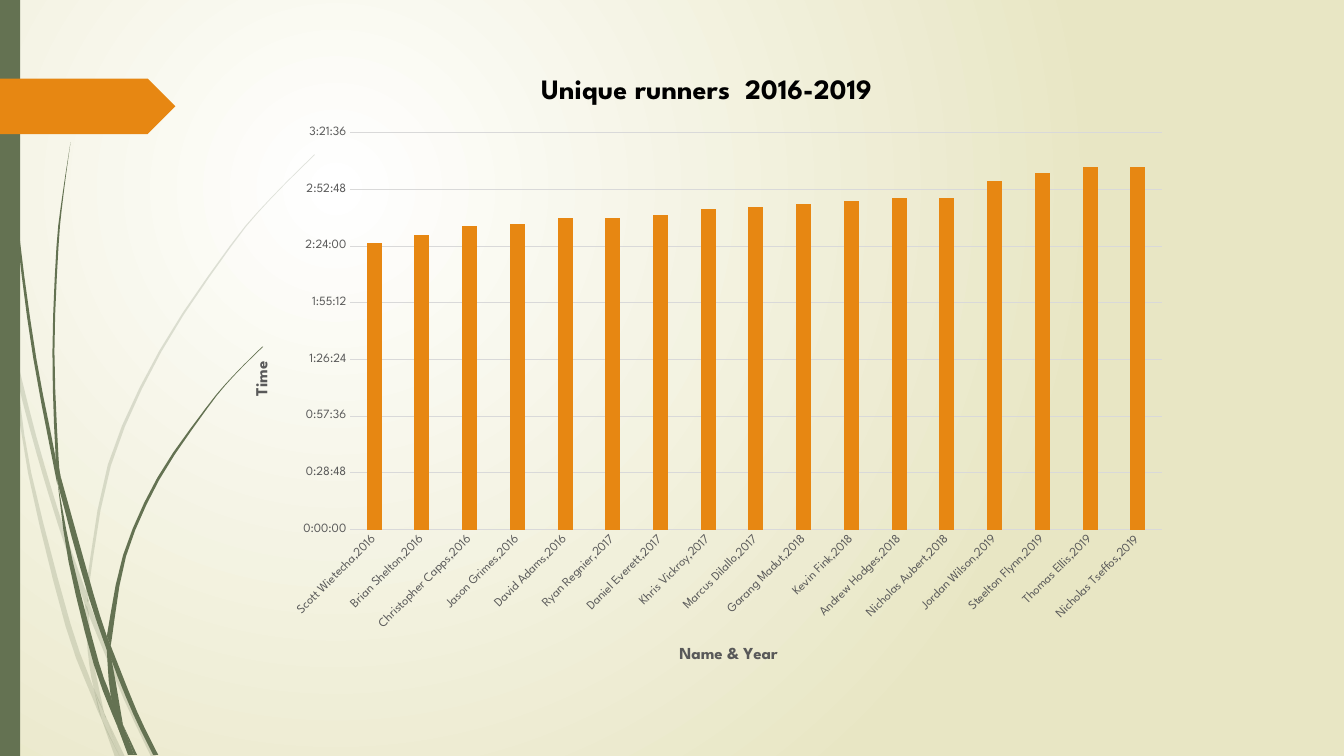
from lxml import etree
from pptx import Presentation
from pptx import util as u
from pptx.chart.data import CategoryChartData
from pptx.dml.color import RGBColor
from pptx.enum import chart as ch, shapes
from pptx.oxml import parse_xml
from pptx.oxml.ns import nsdecls, qn

GREEN = RGBColor(0x64, 0x72, 0x52)
ORANGE = RGBColor(0xE7, 0x87, 0x12)
WHITE = RGBColor(0xFF, 0xFF, 0xFF)
CREAM = RGBColor(0xE8, 0xE6, 0xC4)
BLACK = RGBColor(0, 0, 0)
GREY = RGBColor(0x59, 0x59, 0x59)
GRID = RGBColor(0xD9, 0xD9, 0xD9)
FONT = "League Spartan"
STEPS = 3


def smooth(points):
    """Sample a Catmull-Rom curve through the points, in EMU."""
    ends = [points[0], *points, points[-1]]
    curve = []
    for a, b, c, d in zip(ends, ends[1:], ends[2:], ends[3:]):
        for t in (i / STEPS for i in range(STEPS)):
            curve.append(tuple(
                q + t / 2 * (r - p + t * (2 * p - 5 * q + 4 * r - s + t * (3 * (q - r) + s - p)))
                for p, q, r, s in zip(a, b, c, d)))
    return [(u.Inches(x), u.Inches(y)) for x, y in curve + [points[-1]]]


def paint(shape, color):
    shape.shadow.inherit = False
    shape.fill.solid()
    shape.fill.fore_color.rgb = color
    shape.line.fill.background()


prs = Presentation()
prs.slide_width, prs.slide_height = u.Inches(13.33), u.Inches(7.5)
slide = prs.slides.add_slide(prs.slide_layouts[6])

# Background: radial glow centred in the upper left
glow = slide.background.fill
glow.gradient()
for stop, color in zip(glow.gradient_stops, (WHITE, CREAM)):
    stop.color.rgb = color
grad = slide.background._cSld.find(".//" + qn("a:gradFill"))
grad.replace(grad.find(qn("a:lin")), parse_xml(
    f'<a:path {nsdecls("a")} path="circle">'
    '<a:fillToRect l="50000" t="50000" r="100000" b="100000"/></a:path>'))

# Grass blades: left edge and right edge of each piece
pale_blades = [
    ([(0, 2.99), (0.1, 3.44), (0.11, 3.5)], [(0, 2.82), (0.09, 3.22), (0.11, 3.5)]),
    ([(0.14, 3.45), (0.17, 3.76), (0.36, 4.49), (0.58, 5.22), (0.84, 5.99)],
     [(0.14, 3.45), (0.36, 4.33), (0.62, 5.2), (0.85, 5.86)]),
    ([(0.88, 6.1), (1.23, 6.94), (1.5, 7.51)],
     [(0.88, 5.96), (0.92, 6.07), (1.27, 6.92), (1.55, 7.51)]),
    ([(1.05, 7.11), (1.19, 7.51)], [(1.05, 7.11), (1.24, 7.51)]),
    ([(0.11, 3.5), (0.28, 4.7), (0.65, 6.21), (0.92, 6.93), (1.01, 7.14)],
     [(0.11, 3.5), (0.17, 3.76), (0.31, 4.69), (0.7, 6.19), (0.93, 6.83), (1.01, 7.14)]),
    ([(0.84, 5.99), (0.87, 6.46), (0.93, 6.83), (1.05, 7.11)],
     [(0.84, 5.99), (0.88, 6.08), (0.91, 6.46), (1.03, 7.06), (1.05, 7.11)]),
    ([(3.12, 1.53), (2.68, 1.97), (2.28, 2.44), (1.58, 3.48), (1.07, 4.61), (0.85, 5.86)],
     [(3.12, 1.54), (2.68, 1.98), (2.29, 2.45), (1.6, 3.49), (1.1, 4.62), (0.88, 5.84),
      (0.88, 5.96)]),
    ([(1.01, 7.14), (1.14, 7.51)], [(1.01, 7.14), (1.19, 7.51)]),
    ([(0.85, 5.86), (0.84, 5.99)], [(0.88, 5.96), (0.88, 6.1)]),
    ([(0.93, 6.83), (1.01, 7.14), (1.19, 7.51)], [(0.93, 6.83), (1.05, 7.11), (1.19, 7.51)]),
]
dark_blades = [
    ([(0.03, 0), (0.07, 1.1), (0.17, 2.33), (0.33, 3.55), (0.57, 4.81)],
     [(0.04, 0), (0.08, 1.09), (0.19, 2.32), (0.36, 3.55), (0.55, 4.53), (0.57, 4.81)]),
    ([(0.6, 4.72), (0.64, 5.05), (0.88, 5.92), (1.06, 6.45)],
     [(0.6, 4.72), (0.93, 5.9), (1.06, 6.31)]),
    ([(1.1, 6.41), (1.11, 6.56), (1.32, 7.08), (1.52, 7.49)],
     [(1.1, 6.41), (1.36, 7.06), (1.57, 7.49)]),
    ([(0.57, 4.77), (0.68, 5.57), (0.93, 6.59), (1.17, 7.22)],
     [(0.57, 4.77), (0.72, 5.56), (0.98, 6.57), (1.1, 6.91), (1.17, 7.22)]),
    ([(0.7, 1.41), (0.62, 1.93), (0.56, 2.45), (0.52, 3.49), (0.55, 4.49), (0.6, 4.72)],
     [(0.7, 1.41), (0.63, 1.93), (0.58, 2.45), (0.54, 3.49), (0.58, 4.53), (0.6, 4.72)]),
    ([(1.22, 7.19), (1.33, 7.49)], [(1.22, 7.19), (1.36, 7.49)]),
    ([(0.55, 4.49), (0.57, 4.77), (0.64, 5.05)], [(0.55, 4.49), (0.6, 4.72), (0.64, 5.05)]),
    ([(2.6, 3.44), (2.31, 3.73), (2.04, 4.05), (1.56, 4.74), (1.22, 5.51), (1.06, 6.31)],
     [(2.61, 3.44), (2.31, 3.74), (2.05, 4.06), (1.58, 4.76), (1.25, 5.52), (1.11, 6.33),
      (1.1, 6.41)]),
    ([(1.17, 7.22), (1.27, 7.49)], [(1.17, 7.22), (1.31, 7.49)]),
    ([(1.06, 6.45), (1.1, 6.91), (1.22, 7.19)], [(1.06, 6.45), (1.11, 6.56), (1.22, 7.19)]),
    ([(1.06, 6.31), (1.06, 6.45)], [(1.1, 6.41), (1.11, 6.56)]),
    ([(1.1, 6.91), (1.17, 7.22), (1.3, 7.49)], [(1.1, 6.91), (1.22, 7.19), (1.33, 7.49)]),
]
for blades, opacity in ((pale_blades, 20), (dark_blades, 100)):
    for left_edge, right_edge in blades:
        outline = smooth(left_edge) + smooth(right_edge)[::-1]
        builder = slide.shapes.build_freeform(*outline[0])
        builder.add_line_segments(outline[1:])
        blade = builder.convert_to_shape()
        paint(blade, GREEN)
        if opacity < 100:
            tint = blade.fill._xPr.find(".//" + qn("a:srgbClr"))
            etree.SubElement(tint, qn("a:alpha")).set("val", str(opacity * 1000))

# Side bar and page tab
for kind, top, width, height, color in (
        (shapes.MSO_SHAPE.RECTANGLE, 0, 0.2, 7.5, GREEN),
        (shapes.MSO_SHAPE.PENTAGON, 0.78, 1.74, 0.55, ORANGE)):
    paint(slide.shapes.add_shape(kind, 0, u.Inches(top), u.Inches(width), u.Inches(height)), color)

# Runner times, as fractions of a day
times = {
    "Scott Wietecha,2016": 0.101, "Brian Shelton,2016": 0.104, "Christopher Capps,2016": 0.107,
    "Jason Grimes,2016": 0.108, "David Adams,2016": 0.11, "Ryan Regnier,2017": 0.11,
    "Daniel Everett,2017": 0.111, "Khris Vickroy,2017": 0.113, "Marcus Dilallo,2017": 0.114,
    "Garang Madut,2018": 0.115, "Kevin Fink,2018": 0.116, "Andrew Hodges,2018": 0.117,
    "Nicholas Aubert,2018": 0.117, "Jordan Wilson,2019": 0.123, "Steelton Flynn,2019": 0.126,
    "Thomas Ellis,2019": 0.128, "Nicholas Tseffos,2019": 0.128,
}
data = CategoryChartData(number_format="h:mm:ss")
data.categories = list(times)
data.add_series("Series 1", list(times.values()))
runners = slide.shapes.add_chart(
    ch.XL_CHART_TYPE.COLUMN_CLUSTERED, u.Inches(2.31), u.Inches(0.53),
    u.Inches(9.4), u.Inches(6.27), data).chart
runners.has_legend = False
runners.font.name, runners.font.size = FONT, u.Pt(10)

bars = runners.plots[0]
for key, value in {"gap_width": 219, "overlap": -27, "vary_by_categories": False}.items():
    setattr(bars, key, value)
bars.series[0].format.fill.solid()
bars.series[0].format.fill.fore_color.rgb = ORANGE

# Axes
names, clock = runners.category_axis, runners.value_axis
clock_format = {"minimum_scale": 0, "maximum_scale": 0.14, "major_unit": 0.02,
                "has_major_gridlines": True}
for key, value in clock_format.items():
    setattr(clock, key, value)
clock.tick_labels.number_format = "h:mm:ss"
clock.tick_labels.number_format_is_linked = False
clock.format.line.fill.background()
for axis in (names, clock):
    axis.major_tick_mark = axis.minor_tick_mark = ch.XL_TICK_MARK.NONE
    label_font = axis.tick_labels.font
    label_font.name, label_font.size, label_font.color.rgb = FONT, u.Pt(9), GREY
for line in (names.format.line, clock.major_gridlines.format.line):
    line.color.rgb, line.width = GRID, u.Pt(0.75)
names._element.find(qn("c:txPr")).find(qn("a:bodyPr")).set("rot", "-2700000")

# Chart title and axis titles
for owner, words, size, color in ((runners, "Unique runners  2016-2019", 20, BLACK),
                                  (names, "Name & Year", 12, GREY), (clock, "Time", 12, GREY)):
    title = owner.chart_title if owner is runners else owner.axis_title
    title.text_frame.text = words
    font = title.text_frame.paragraphs[0].runs[0].font
    for key, value in {"name": FONT, "size": u.Pt(size), "bold": True}.items():
        setattr(font, key, value)
    font.color.rgb = color
runners.chart_title.include_in_layout = False
clock.axis_title.text_frame._txBody.find(qn("a:bodyPr")).set("rot", "-5400000")

prs.save("out.pptx")
